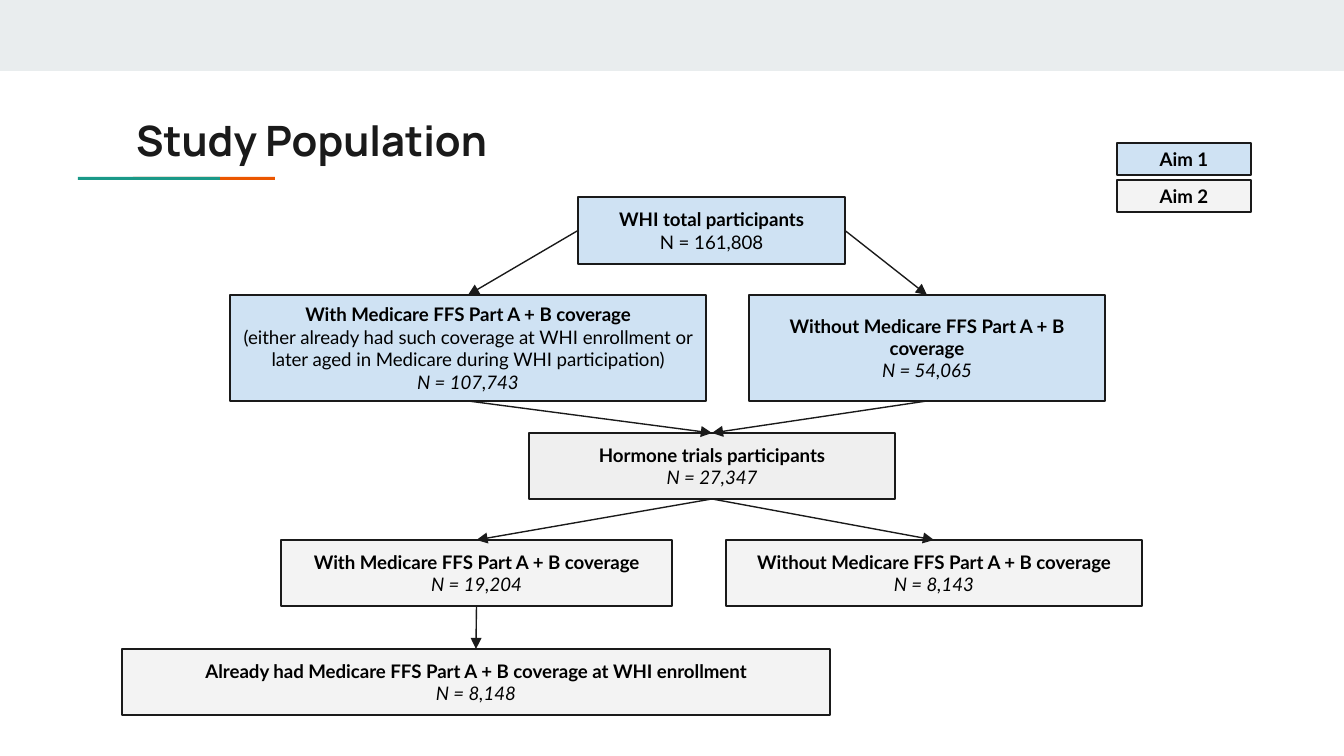
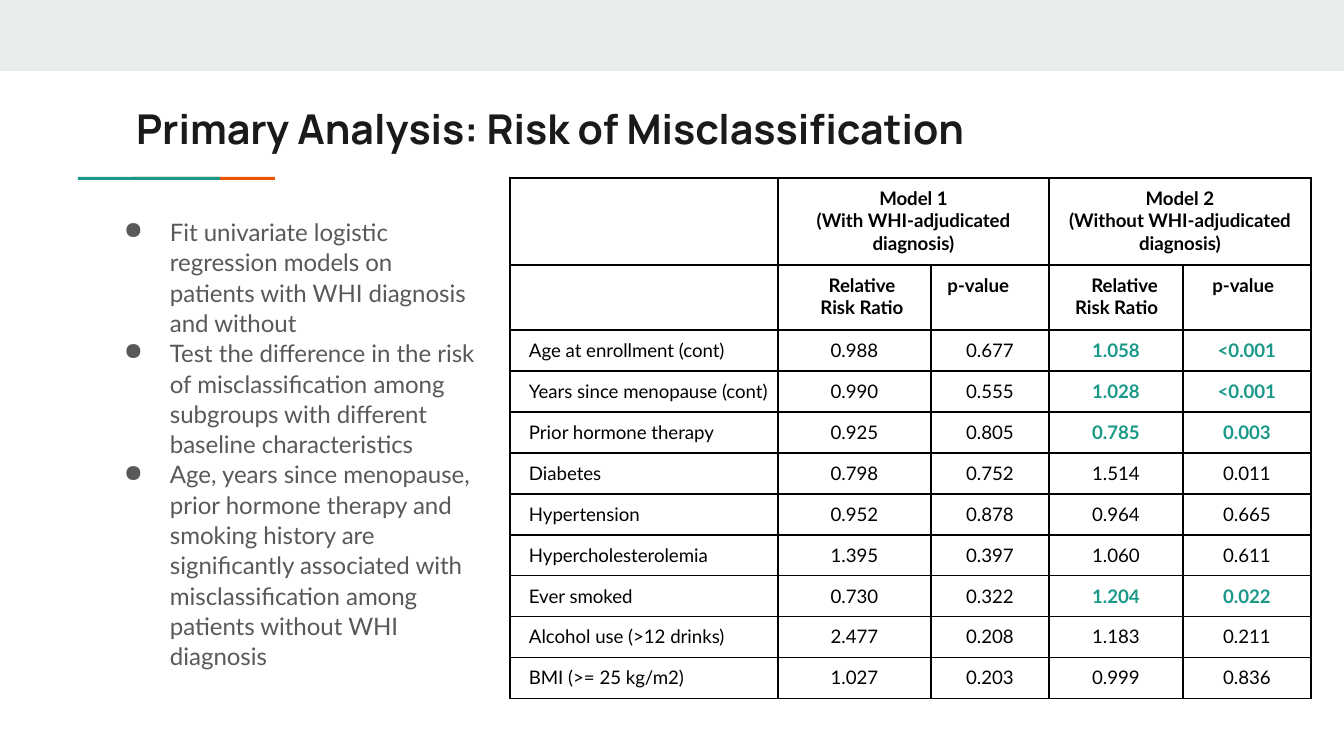
from dataclasses import dataclass

from lxml.etree import SubElement
from pptx import Presentation
from pptx.dml.color import RGBColor as Rgb
from pptx.enum.shapes import MSO_CONNECTOR as Link, MSO_SHAPE as Kind
from pptx.enum.text import MSO_ANCHOR as Anchor, PP_ALIGN as Align
from pptx.oxml import parse_xml
from pptx.oxml.ns import nsdecls, qn
from pptx.util import Emu, Pt


@dataclass(frozen=True)
class Theme:
    ink: str = "1A1A1A"
    black: str = "000000"
    gray: str = "595959"
    band: str = "E9EDEE"
    teal: str = "1A9988"
    rust: str = "EB5600"
    blue: str = "CFE2F3"
    pale: str = "F3F3F3"
    mid: str = "EFEFEF"
    head: str = "Manrope"
    text: str = "Lato"
    small: float = 10
    body: float = 12.9
    rule: float = 0.75
    grid: float = 1


T = Theme()
PAD = 13

# Flow chart: name -> (box in the chart, fill, plain lines, lines)
NODES = {
    "total": ((456, 0, 267, 67), T.blue,
              ["WHI total participants", "N = 161,808"]),
    "with": ((108, 98, 476, 106), T.blue,
             ["With Medicare FFS Part A + B coverage",
              "(either already had such coverage at WHI enrollment "
              "or later aged in Medicare during WHI participation)",
              "N = 107,743"]),
    "without": ((627, 98, 356, 106), T.blue,
                ["Without Medicare FFS Part A + B coverage", "N = 54,065"]),
    "trial": ((407, 236, 366, 66), T.mid,
              ["Hormone trials participants", "N = 27,347"]),
    "trial with": ((159, 343, 391, 66), T.pale,
                   ["With Medicare FFS Part A + B coverage", "N = 19,204"]),
    "trial without": ((604, 343, 416, 66), T.pale,
                      ["Without Medicare FFS Part A + B coverage", "N = 8,143"]),
    "early": ((0, 452, 708, 66), T.pale,
              ["Already had Medicare FFS Part A + B coverage at WHI enrollment",
               "N = 8,148"]),
}
TOP, LEFT, BOTTOM, RIGHT = range(4)
ARROWS = [
    ("with", BOTTOM, "trial"), ("without", BOTTOM, "trial"),
    ("total", LEFT, "with"), ("total", RIGHT, "without"),
    ("trial", BOTTOM, "trial without"), ("trial with", BOTTOM, "early"),
    ("trial", BOTTOM, "trial with"),
]

POINTS = [
    "Fit univariate logistic regression models on patients with WHI diagnosis "
    "and without",
    "Test the difference in the risk of misclassification among subgroups with "
    "different baseline characteristics",
    "Age, years since menopause, prior hormone therapy and smoking history are "
    "significantly associated with misclassification among patients without WHI "
    "diagnosis",
]

# Risk table: label, model 1 ratio and p, model 2 ratio and p
COLS = [268, 153, 118, 134, 128]
ROWS = [87, 65] + [41] * 9
MODELS = {
    1: ["Model 1", "(With WHI-adjudicated diagnosis)"],
    3: ["Model 2", "(Without WHI-adjudicated diagnosis)"],
}
# Column heads: lines, alignment, left and right inset
HEADS = [
    (["Relative Risk Ratio"], Align.CENTER, 38, 23),
    (["p-value"], Align.RIGHT, 9, 40),
    (["Relative", "Risk Ratio"], Align.RIGHT, 9, 25),
    (["p-value"], Align.RIGHT, 9, 37),
]
RISKS = [
    ("Age at enrollment (cont)", "0.988", "0.677", "1.058", "<0.001"),
    ("Years since menopause (cont)", "0.990", "0.555", "1.028", "<0.001"),
    ("Prior hormone therapy", "0.925", "0.805", "0.785", "0.003"),
    ("Diabetes", "0.798", "0.752", "1.514", "0.011"),
    ("Hypertension", "0.952", "0.878", "0.964", "0.665"),
    ("Hypercholesterolemia", "1.395", "0.397", "1.060", "0.611"),
    ("Ever smoked", "0.730", "0.322", "1.204", "0.022"),
    ("Alcohol use (>12 drinks)", "2.477", "0.208", "1.183", "0.211"),
    ("BMI (>= 25 kg/m2)", "1.027", "0.203", "0.999", "0.836"),
]
STRONG = {"Age at enrollment (cont)", "Years since menopause (cont)",
          "Prior hormone therapy", "Ever smoked"}


def px(n):
    return Emu(round(n * 914400 / 134.4))


def place(box):
    return [px(n) for n in box]


def inset(part, left, top, right, bottom):
    part.margin_left, part.margin_top = px(left), px(top)
    part.margin_right, part.margin_bottom = px(right), px(bottom)


def style(font, size, color=T.black, bold=False, italic=False, name=T.text):
    font.name, font.size = name, Pt(size)
    font.bold, font.italic = bold, italic
    font.color.rgb = Rgb.from_string(color)


def write(frame, lines, align=Align.LEFT):
    """Fill a frame with lines and return its paragraphs."""
    frame.text = "\n".join(lines)
    frame.word_wrap = True
    for para in frame.paragraphs:
        para.alignment = align
    return frame.paragraphs


def rect(slide, box, fill, line=None):
    shape = slide.shapes.add_shape(Kind.RECTANGLE, *place(box))
    shape.shadow.inherit = False
    shape.fill.solid()
    shape.fill.fore_color.rgb = Rgb.from_string(fill)
    if line:
        shape.line.color.rgb = Rgb.from_string(line)
        shape.line.width = Pt(T.rule)
    else:
        shape.line.fill.background()
    return shape


def label(slide, box, fill, lines):
    """Outlined box: bold first line, italic last line of three or N."""
    shape = rect(slide, box, fill, T.ink)
    frame = shape.text_frame
    frame.vertical_anchor = Anchor.MIDDLE
    inset(frame, *[PAD] * 4)
    for i, para in enumerate(write(frame, lines, Align.CENTER)):
        count = para.text.startswith("N =") and fill + lines[0] != T.blue + "WHI total participants"
        style(para.font, T.small, bold=i == 0, italic=count)
    return shape


def textbox(slide, box, lines):
    frame = slide.shapes.add_textbox(*place(box)).text_frame
    inset(frame, *[PAD] * 4)
    return write(frame, lines)


def base(deck, title, top, size):
    """Slide with the top band, the two-colour rule and a title."""
    slide = deck.slides.add_slide(deck.slide_layouts[6])
    rect(slide, (0, 0, 1344, 71), T.band)
    rect(slide, (133, 177, 142, 3), T.rust)
    rect(slide, (78, 177, 142, 3), T.teal)
    para, = textbox(slide, (123, top, 1180, 85), [title])
    style(para.font, size, T.ink, True, name=T.head)
    return slide


def arrow(slide, start, side, end):
    line = slide.shapes.add_connector(Link.STRAIGHT, 0, 0, 0, 0)
    line.begin_connect(start, side)
    line.end_connect(end, TOP)
    line.line.color.rgb = Rgb.from_string(T.ink)
    line.line.width = Pt(T.rule)
    SubElement(line.line._get_or_add_ln(), qn("a:tailEnd"), type="triangle")
    SubElement(line._element.spPr, qn("a:effectLst"))


def flow(slide, left, top):
    boxes = {}
    for name, ((x, y, w, h), fill, lines) in NODES.items():
        boxes[name] = label(slide, (left + x, top + y, w, h), fill, lines)
    for start, side, end in ARROWS:
        arrow(slide, boxes[start], side, boxes[end])


def legend(slide, left, top):
    for i, fill in enumerate((T.blue, T.pale)):
        label(slide, (left, top + 37 * i, 134, 32), fill, [f"Aim {i + 1}"])


def bullets(slide, box):
    for para in textbox(slide, box, POINTS):
        style(para.font, T.body, T.gray)
        para.line_spacing = 1.05
        props = para._p.get_or_add_pPr()
        props.set("marL", str(px(67)))
        props.set("indent", str(-px(46)))
        color = SubElement(props, qn("a:buClr"))
        SubElement(color, qn("a:srgbClr"), val=T.gray)
        SubElement(props, qn("a:buChar"), char="●")


def border(cell):
    props = cell._tc.get_or_add_tcPr()
    for i, side in enumerate("LRTB"):
        props.insert(i, parse_xml(
            f'<a:ln{side} {nsdecls("a")} w="{Pt(T.grid)}"><a:solidFill>'
            f'<a:srgbClr val="{T.black}"/></a:solidFill></a:ln{side}>'))


def fill_cell(cell, lines, align, color=T.black, bold=False, left=9, right=9):
    inset(cell, left, 9, right, 9)
    for para in write(cell.text_frame, lines, align):
        style(para.font, T.small, color, bold)


def risks(slide, left, top):
    box = (left, top, sum(COLS), sum(ROWS))
    table = slide.shapes.add_table(len(ROWS), len(COLS), *place(box)).table
    table.first_row = table.horz_banding = False
    for col, width in zip(table.columns, COLS):
        col.width = px(width)
    for row, height in zip(table.rows, ROWS):
        row.height = px(height)
    for cell in table.iter_cells():
        cell.fill.background()
        border(cell)

    # Two header rows
    for c, lines in MODELS.items():
        table.cell(0, c).merge(table.cell(0, c + 1))
        fill_cell(table.cell(0, c), lines, Align.CENTER, bold=True)
    for c, (lines, align, near, far) in enumerate(HEADS, 1):
        fill_cell(table.cell(1, c), lines, align, bold=True, left=near, right=far)

    # One row for each trait
    for r, (trait, *values) in enumerate(RISKS, 2):
        fill_cell(table.cell(r, 0), [trait], Align.LEFT, left=19, right=4)
        for c, value in enumerate(values, 1):
            strong = trait in STRONG and c > 2
            fill_cell(table.cell(r, c), [value], Align.CENTER,
                      T.teal if strong else T.black, strong)


def main():
    deck = Presentation()
    deck.slide_width, deck.slide_height = px(1344), px(756)

    slide = base(deck, "Study Population", 102, 22.4)
    flow(slide, 122, 197)
    legend(slide, 1117, 143)

    slide = base(deck, "Primary Analysis: Risk of Misclassification", 90, 22)
    bullets(slide, (90, 203, 403, 503))
    risks(slide, 510, 178)

    deck.save("out.pptx")


if __name__ == "__main__":
    main()
